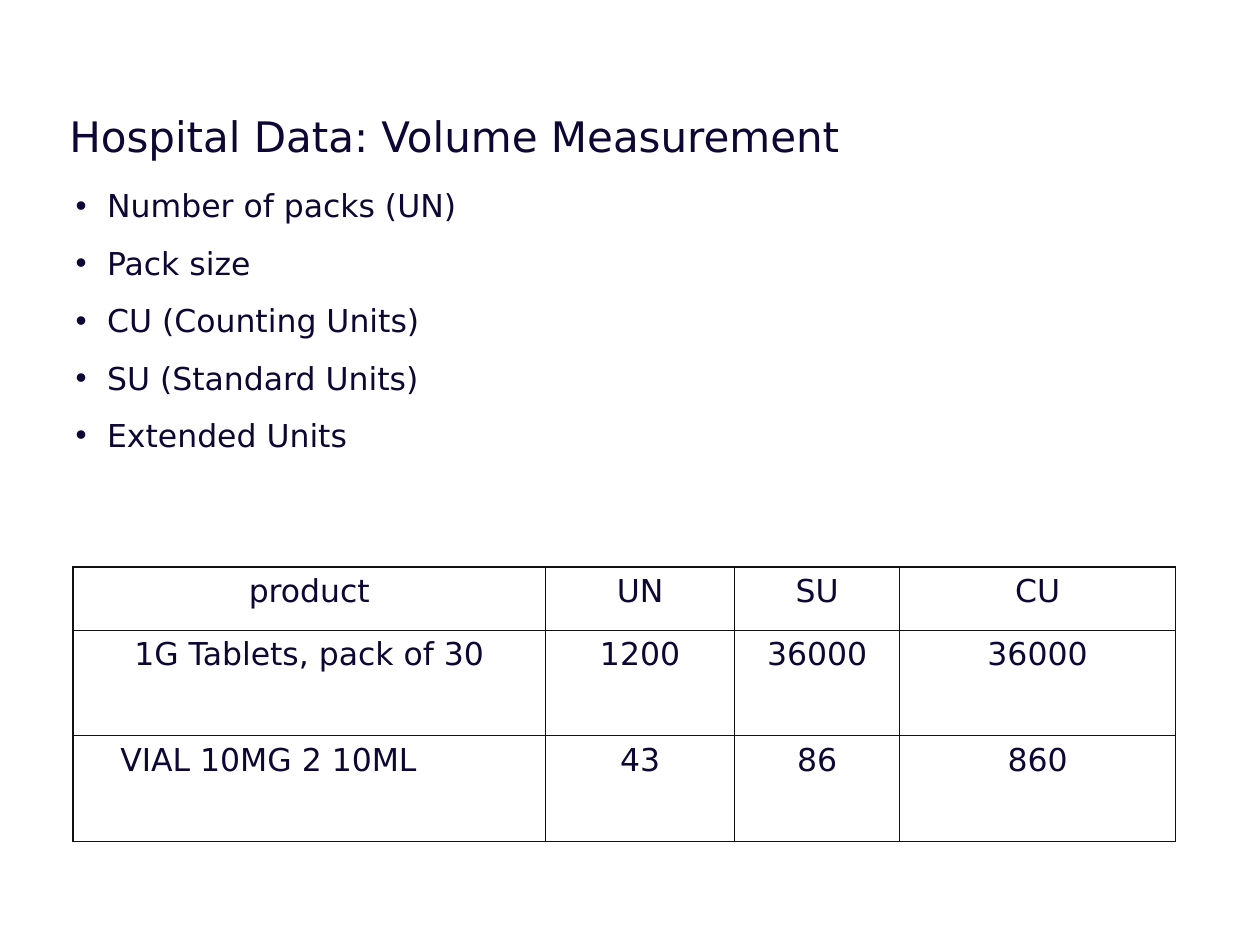
import pptx
import pptx.dml.color
import pptx.enum.text
import pptx.oxml.ns
import pptx.util
from lxml import etree

Inches = pptx.util.Inches
Pt = pptx.util.Pt
qn = pptx.oxml.ns.qn

TITLE = "Hospital Data: Volume Measurement"
MEASURES = [
    "Number of packs (UN)",
    "Pack size",
    "CU (Counting Units)",
    "SU (Standard Units)",
    "Extended Units",
]
VOLUMES = [
    ("product", "UN", "SU", "CU"),
    ("1G Tablets, pack of 30", "1200", "36000", "36000"),
    ("VIAL 10MG 2 10ML\t", "43", "86", "860"),
]
COLUMN_WIDTHS = [3.75, 1.5, 1.31, 2.19]
ROW_HEIGHTS = [0.5, 0.84, 0.84]
COLORS = {"text": "0E0733", "border": "111111"}
FONT = "DejaVu Sans"
INNER, OUTER = 0.45, 1.08


def place(shape, left, top, width, height):
    shape.left, shape.top = Inches(left), Inches(top)
    shape.width, shape.height = Inches(width), Inches(height)


def format_text(para, size):
    for span in para.runs:
        span.font.name = FONT
        span.font.size = Pt(size)
        span.font.color.rgb = pptx.dml.color.RGBColor.from_string(COLORS["text"])


def add_bullet(para):
    props = para._p.get_or_add_pPr()
    props.set("marL", str(Inches(0.25)))
    props.set("indent", str(-Inches(0.25)))
    color = etree.SubElement(props, qn("a:buClr"))
    etree.SubElement(color, qn("a:srgbClr"), val=COLORS["text"])
    etree.SubElement(props, qn("a:buChar"), char="•")


def add_tabs(para, first):
    tabs = etree.SubElement(para._p.get_or_add_pPr(), qn("a:tabLst"))
    for inch in range(first, first + 8):
        etree.SubElement(tabs, qn("a:tab"), pos=str(Inches(inch)), algn="l")


def set_borders(cell, widths):
    props = cell._tc.get_or_add_tcPr()
    for index, (side, width) in enumerate(widths.items()):
        line = etree.Element(qn(f"a:ln{side}"), w=str(Pt(width)))
        fill = etree.SubElement(line, qn("a:solidFill"))
        etree.SubElement(fill, qn("a:srgbClr"), val=COLORS["border"])
        props.insert(index, line)


def fill_title(page):
    title = page.shapes.title
    place(title, 0.55, 0.85, 9, 0.46)
    frame = title.text_frame
    frame.text = TITLE
    frame.word_wrap = True
    frame.vertical_anchor = pptx.enum.text.MSO_ANCHOR.MIDDLE
    frame.margin_left = frame.margin_right = frame.margin_top = frame.margin_bottom = 0
    frame.paragraphs[0].alignment = pptx.enum.text.PP_ALIGN.LEFT
    format_text(frame.paragraphs[0], 24)


def fill_measures(page):
    body = page.placeholders[1]
    place(body, 0.5, 1.43, 4.17, 2.32)
    frame = body.text_frame
    frame.text = "\n".join(MEASURES)
    frame.word_wrap = True
    frame.vertical_anchor = pptx.enum.text.MSO_ANCHOR.TOP
    for para in frame.paragraphs:
        para.space_before = Pt(11.2)
        add_bullet(para)
        add_tabs(para, 1)
        format_text(para, 18)


def add_volumes(page):
    rows, columns = len(VOLUMES), len(COLUMN_WIDTHS)
    table = page.shapes.add_table(
        rows, columns, Inches(0.58), Inches(4.5),
        Inches(sum(COLUMN_WIDTHS)), Inches(sum(ROW_HEIGHTS)),
    ).table
    table.first_row = table.horz_banding = False
    for column, width in zip(table.columns, COLUMN_WIDTHS):
        column.width = Inches(width)
    for row, height in zip(table.rows, ROW_HEIGHTS):
        row.height = Inches(height)
    for r, values in enumerate(VOLUMES):
        for c, value in enumerate(values):
            cell = table.cell(r, c)
            cell.text_frame.text = value
            cell.fill.background()
            para = cell.text_frame.paragraphs[0]
            para.alignment = pptx.enum.text.PP_ALIGN.CENTER
            para.space_before = Pt(11.2)
            add_tabs(para, 0)
            format_text(para, 18)
            set_borders(cell, {
                "L": OUTER if c == 0 else INNER,
                "R": OUTER if c == columns - 1 else INNER,
                "T": OUTER if r == 0 else INNER,
                "B": OUTER if r == rows - 1 else INNER,
            })


def main():
    deck = pptx.Presentation()
    deck.slide_width, deck.slide_height = Inches(10), Inches(7.5)
    page = deck.slides.add_slide(deck.slide_layouts[1])
    fill_title(page)
    fill_measures(page)
    add_volumes(page)
    deck.save("out.pptx")


if __name__ == "__main__":
    main()
